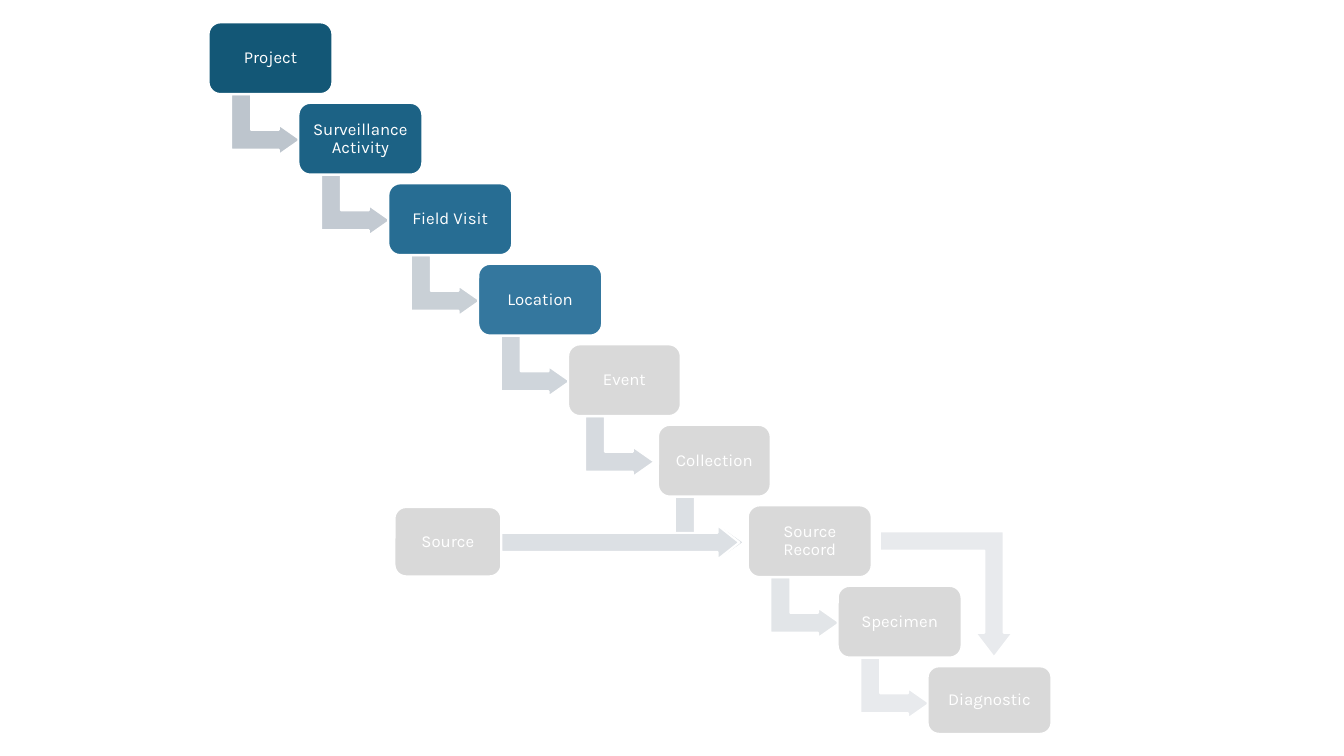
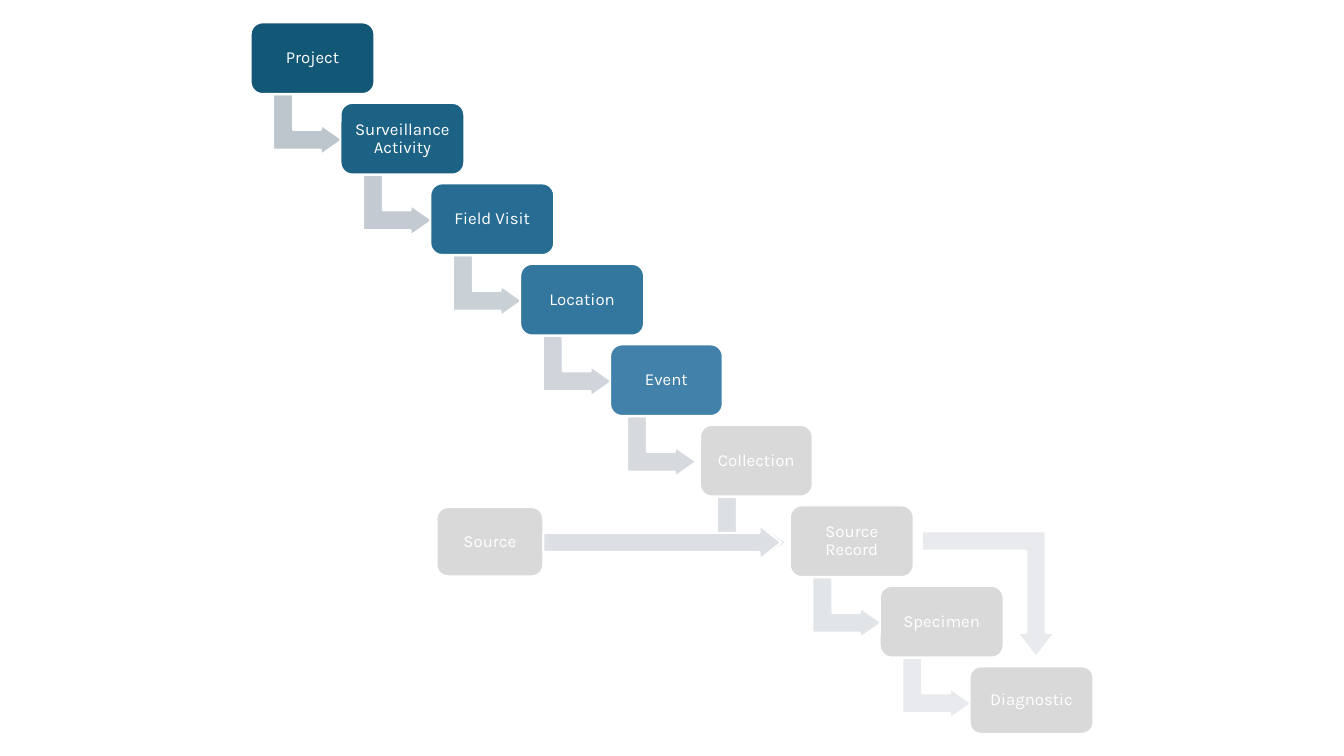
"""Two slides of a data-model staircase, each lighting up the steps reached so far."""
import pptx
import pptx.util
import pptx.dml.color
import pptx.enum.shapes
import pptx.enum.text

Pt = pptx.util.Pt
SHAPES = pptx.enum.shapes.MSO_SHAPE

WHITE, PENDING = "FFFFFF", "D9D9D9"
FONT, FONT_SIZE = "Karla", 12
REACHED_COLOURS = ["135776", "1C6285", "276D93", "34779E", "4281A9"]
STAGES = [
    {"left": 149, "reached": 4},
    {"left": 179, "reached": 5},
]
WIDE, NARROW = 88.5, 80.5
STEPS = [
    ("Project", WIDE, "BDC5CD"),
    ("Surveillance Activity", WIDE, "C3CAD2"),
    ("Field Visit", WIDE, "C9D0D6"),
    ("Location", WIDE, "CFD5DB"),
    ("Event", NARROW, "D6DADF"),
    ("Collection", NARROW, "DCE0E4"),
    ("Source Record", WIDE, "E2E5E8"),
    ("Specimen", WIDE, "E8EAED"),
    ("Diagnostic", WIDE, None),
]
TOP, STEP_X, STEP_Y = 16, 64.2, 57.5
BOX_HEIGHT, LAST_HEIGHT = 51.2, 48.2
ARROW_SIZE = (43.4, 49.6)
ARROW_DROP = 48.2
ARROW_INSETS = {WIDE: 19.2, NARROW: 15.2}
ARROW_BENDS = (0.328, 0.25, 0.358)
SOURCE_AREA = (132.8, 362.2, 76.3, 49.5)
SOURCE_ARROW_AREA = (209.1, 375.2, 170, 24.5)
SHORTCUT_AREA = (479.4, 379.5, 95, 90)


def colour(hex_text):
    return pptx.dml.color.RGBColor.from_string(hex_text)


def add_part(slide, preset, area, fill, adjustments, rotation=0, flip=False):
    part = slide.shapes.add_shape(preset, *(Pt(length) for length in area))
    part.shadow.inherit = False
    part.fill.solid()
    part.fill.fore_color.rgb = colour(fill)
    part.line.color.rgb = colour(WHITE)
    part.line.width = Pt(1.5)
    part.rotation = rotation
    for index, value in enumerate(adjustments):
        part.adjustments[index] = value
    if flip:
        part._element.spPr.xfrm.set("flipH", "1")
    return part


def write(frame, text, size=FONT_SIZE, font=FONT, ink=WHITE, inset=3.6):
    frame.word_wrap = True
    frame.vertical_anchor = pptx.enum.text.MSO_ANCHOR.MIDDLE
    frame.margin_left = frame.margin_right = Pt(inset)
    frame.margin_top = frame.margin_bottom = Pt(inset)
    paragraph = frame.paragraphs[0]
    paragraph.alignment = pptx.enum.text.PP_ALIGN.CENTER
    paragraph.line_spacing = 0.9
    run = paragraph.add_run()
    run.text = text
    run.font.size = Pt(size)
    run.font.name = font
    run.font.color.rgb = colour(ink)


def add_box(slide, label, area, fill):
    box = add_part(slide, SHAPES.ROUNDED_RECTANGLE, area, fill, [0.167])
    write(box.text_frame, label)


def build_stage(slide, left, reached):
    for index, (label, width, arrow_fill) in enumerate(STEPS):
        x, y = left + index * STEP_X, TOP + index * STEP_Y
        if arrow_fill:
            arrow_area = (x + ARROW_INSETS[width], y + ARROW_DROP, *ARROW_SIZE)
            add_part(slide, SHAPES.BENT_UP_ARROW, arrow_area, arrow_fill,
                     ARROW_BENDS, rotation=90)
        height = BOX_HEIGHT if arrow_fill else LAST_HEIGHT
        fill = REACHED_COLOURS[index] if index < reached else PENDING
        add_box(slide, label, (x, y, width, height), fill)

    def shifted(area):
        return (left + area[0], *area[1:])

    add_box(slide, "Source", shifted(SOURCE_AREA), PENDING)
    add_part(slide, SHAPES.RIGHT_ARROW, shifted(SOURCE_ARROW_AREA), "DCE0E4",
             (0.554, 0.635))
    add_part(slide, SHAPES.BENT_UP_ARROW, shifted(SHORTCUT_AREA), "E8EAED",
             (0.153, 0.149, 0.195), rotation=180, flip=True)


def main():
    deck = pptx.Presentation()
    deck.slide_width, deck.slide_height = Pt(960), Pt(540)
    for stage in STAGES:
        build_stage(deck.slides.add_slide(deck.slide_layouts[6]), **stage)
    deck.save("out.pptx")


if __name__ == "__main__":
    main()
